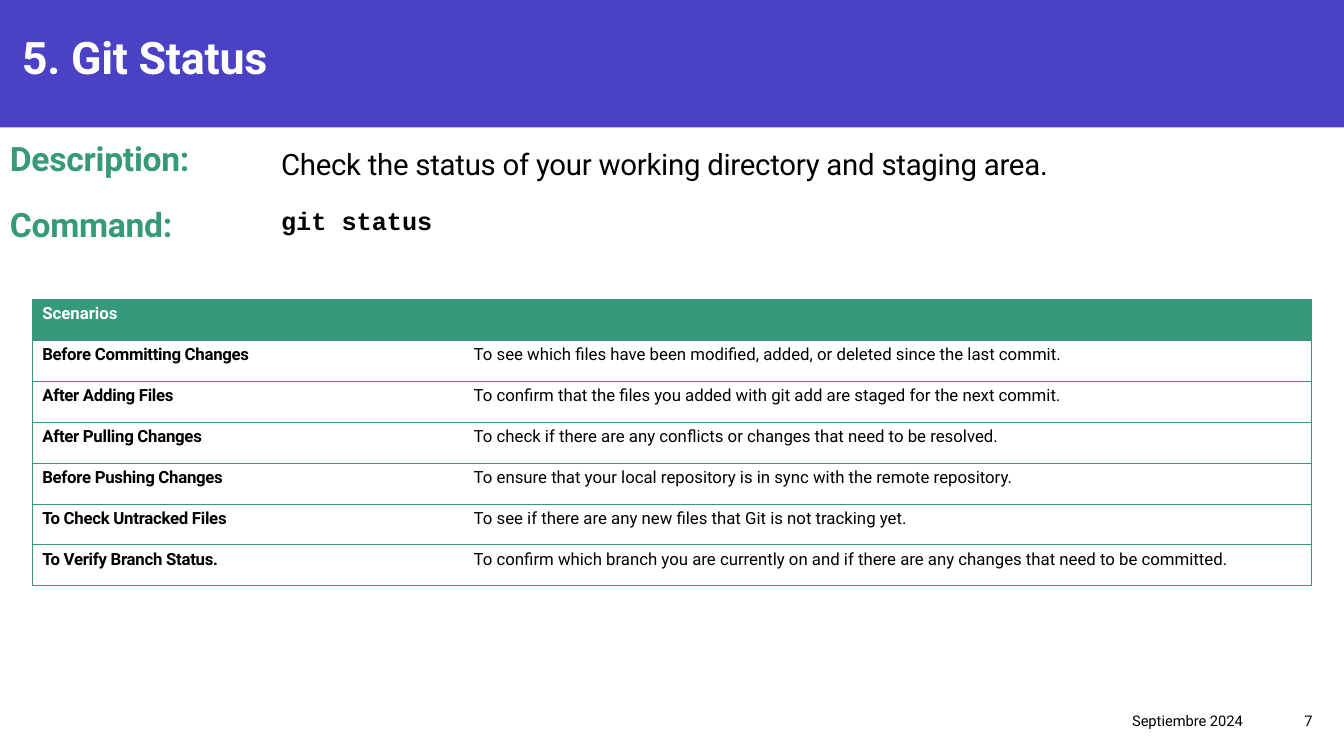
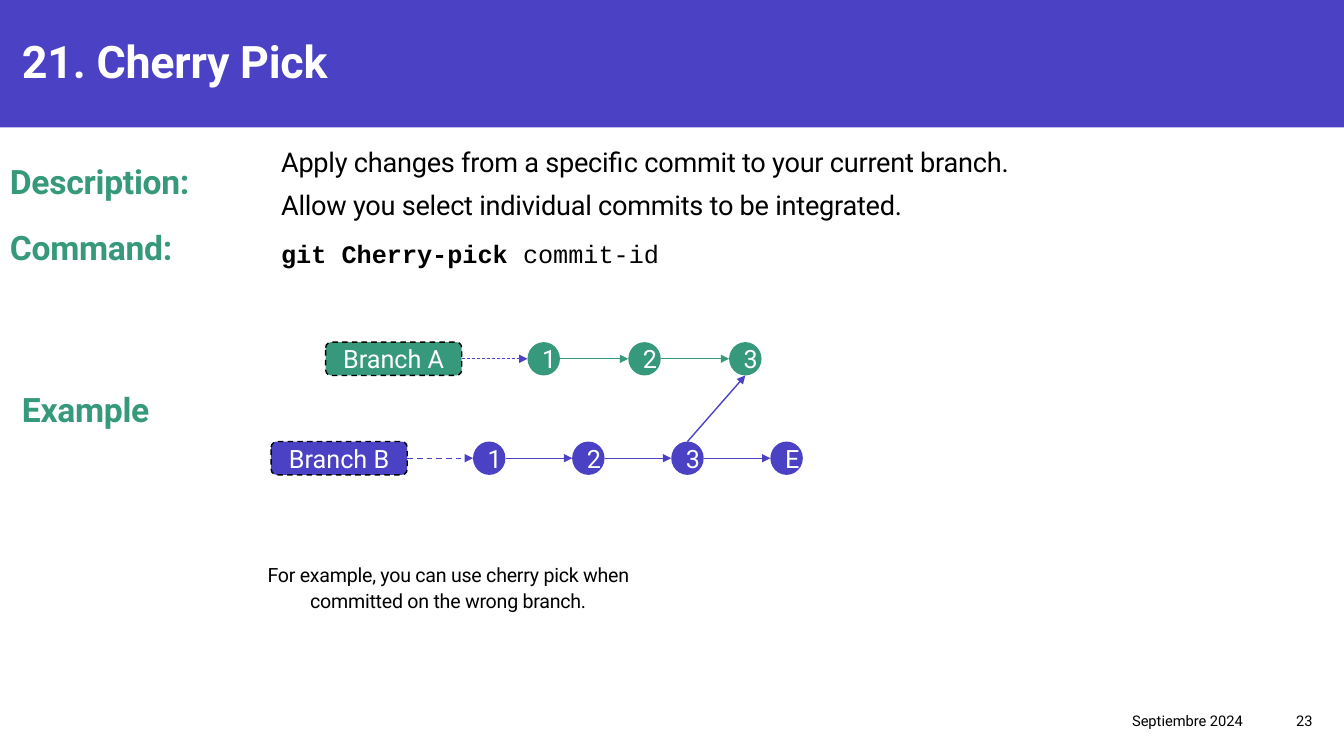
from lxml import etree
from pptx import Presentation
from pptx.dml.color import RGBColor
from pptx.enum import dml, shapes, text
from pptx.oxml.ns import qn
from pptx.util import Pt

PURPLE, GREEN, WHITE, BLACK = "4A41C5", "37997B", "FFFFFF", "000000"
SANS, MONO = "Roboto", "Courier New"
LEFT, CENTER, RIGHT = text.PP_ALIGN.LEFT, text.PP_ALIGN.CENTER, text.PP_ALIGN.RIGHT
TOP, MIDDLE = text.MSO_ANCHOR.TOP, text.MSO_ANCHOR.MIDDLE
PLAIN_TABLE = "{2D5ABB26-0587-4C30-8999-92F81FD0307C}"
SLIDE_W, SLIDE_H, BAND_H = 960, 540, 91
VALUE_X = 193.7
DATE = "Septiembre 2024"

STATUS = {
    "title": "5. Git Status",
    "page": 7,
    "description": ["Check the status of your working directory and staging area."],
    "command": [("git status", True)],
}
SCENARIOS = [
    ("Scenarios", ""),
    ("Before Committing Changes",
     "To see which files have been modified, added, or deleted since the last commit."),
    ("After Adding Files",
     "To confirm that the files you added with git add are staged for the next commit."),
    ("After Pulling Changes",
     "To check if there are any conflicts or changes that need to be resolved."),
    ("Before Pushing Changes",
     "To ensure that your local repository is in sync with the remote repository."),
    ("To Check Untracked Files",
     "To see if there are any new files that Git is not tracking yet."),
    ("To Verify Branch Status.",
     "To confirm which branch you are currently on and if there are any changes "
     "that need to be committed."),
]

CHERRY_PICK = {
    "title": "21. Cherry Pick",
    "page": 23,
    "description": ["Apply changes from a specific commit to your current branch.",
                    "Allow you select individual commits to be integrated."],
    "command": [("git Cherry-pick ", True), ("commit-id", False)],
}
BRANCHES = [
    {"name": "Branch A", "commits": "123", "color": GREEN, "x": 232.6, "y": 244.4,
     "step": 72, "lead_width": 0.5},
    {"name": "Branch B", "commits": "123E", "color": PURPLE, "x": 193.7, "y": 315.4,
     "step": 70.8, "lead_width": 1},
]
CAPTION = "For example, you can use cherry pick when committed on the wrong branch."
LABEL_W, NODE_W, NODE_H = 97.2, 23.2, 23.8
FIRST_NODE = 144.2  # from the left of the branch label to its first commit


def rgb(color):
    return RGBColor.from_string(color)


def style(para, size, color, bold=False, font=SANS, align=LEFT, tight=False):
    """Style a whole paragraph; tight narrows its letter spacing slightly."""
    para.alignment = align
    para.font.name, para.font.size, para.font.bold = font, Pt(size), bold
    para.font.color.rgb = rgb(color)
    if tight:
        para._p.pPr.find(qn("a:defRPr")).set("spc", "-20")


def add_text(page, box, lines, size, color=BLACK, anchor=TOP, spacing=None,
             before=0, after=0, **looks):
    """Add a text box; a line is a string or a list of (text, bold) spans."""
    frame = page.shapes.add_textbox(*map(Pt, box)).text_frame
    frame.word_wrap, frame.vertical_anchor = True, anchor
    for index, line in enumerate(lines):
        para = frame.add_paragraph() if index else frame.paragraphs[0]
        style(para, size, color, **looks)
        para.space_before, para.space_after = Pt(before), Pt(after)
        if spacing:
            para.line_spacing = spacing
        if isinstance(line, str):
            para.add_run().text = line
            continue
        for words, bold in line:
            span = para.add_run()
            span.text, span.font.bold = words, bold


def add_shape(page, kind, box, fill, label=""):
    shape = page.shapes.add_shape(kind, *map(Pt, box))
    shape.shadow.inherit = False
    shape.fill.solid()
    shape.fill.fore_color.rgb = rgb(fill)
    shape.line.fill.background()
    if label:
        para = shape.text_frame.paragraphs[0]
        para.add_run().text = label
        style(para, 18, WHITE, align=CENTER)
    return shape


def add_arrow(page, start, end, color, width=1, dashed=False):
    arrow = page.shapes.add_connector(
        shapes.MSO_CONNECTOR.STRAIGHT, *map(Pt, (*start, *end)))
    arrow.line.color.rgb = rgb(color)
    arrow.line.width = Pt(width)
    if dashed:
        arrow.line.dash_style = dml.MSO_LINE.DASH
    etree.SubElement(arrow.line._get_or_add_ln(), qn("a:tailEnd"), type="triangle")
    etree.SubElement(arrow._element.spPr, qn("a:effectLst"))


def add_heading(page, x, y, width, words):
    add_text(page, (x, y, width, 46.8), [words], 24, GREEN, spacing=1.1, before=10,
             bold=True, tight=True)


def add_page(deck, content, heading_y, title_spacing=None):
    """Add a slide with the band, title, two headings and footer."""
    page = deck.slides.add_slide(deck.slide_layouts[6])
    add_shape(page, shapes.MSO_SHAPE.RECTANGLE, (0, 0, SLIDE_W, BAND_H), PURPLE)
    add_text(page, (8.6, 18, 936, 46.8), [content["title"]], 32, WHITE,
             spacing=title_spacing, bold=True, tight=True)
    for index, words in enumerate(("Description:", "Command:")):
        add_heading(page, 0, heading_y + index * 47, 224, words)
    for x, width, words in ((552.2, 342.7, DATE), (894.9, 49.7, str(content["page"]))):
        add_text(page, (x, 500.4, width, 28.8), [words], 10.5, anchor=MIDDLE, align=RIGHT)
    return page


def add_values(page, content, size, spacing, y, height, command_y, command_spacing=None):
    """Add the description and the command beside their headings."""
    add_text(page, (VALUE_X, y, 629, height), content["description"], size,
             anchor=MIDDLE, spacing=spacing, before=10, tight=True)
    add_text(page, (VALUE_X, command_y, 665, 29), [content["command"]], 18,
             spacing=command_spacing, after=8, font=MONO)


def set_borders(cell, sides):
    """Draw thin green borders on the named sides and none on the others."""
    props = cell._tc.get_or_add_tcPr()
    for index, side in enumerate("LRTB"):
        line = etree.Element(qn("a:ln" + side), w=str(Pt(0.5)))
        if side in sides:
            fill = etree.SubElement(line, qn("a:solidFill"))
            etree.SubElement(fill, qn("a:srgbClr"), val=GREEN)
        else:
            etree.SubElement(line, qn("a:noFill"))
        props.insert(index, line)


def add_scenarios(page):
    row_h, widths = 29.25, (308.2, 605.5)
    table = page.shapes.add_table(
        len(SCENARIOS), len(widths), Pt(23), Pt(213.8), Pt(sum(widths)),
        Pt(row_h * len(SCENARIOS))).table
    table._tbl.tblPr.find(qn("a:tableStyleId")).text = PLAIN_TABLE
    table.horz_banding = False
    for column, width in zip(table.columns, widths):
        column.width = Pt(width)
    for r, row in enumerate(SCENARIOS):
        table.rows[r].height = Pt(row_h)
        header = r == 0
        for c, words in enumerate(row):
            cell = table.cell(r, c)
            para = cell.text_frame.paragraphs[0]
            if words:
                para.add_run().text = words
            style(para, 12, WHITE if header else BLACK, bold=c == 0,
                  tight=c == 0 and not header)
            cell.fill.solid()
            cell.fill.fore_color.rgb = rgb(GREEN if header else WHITE)
            set_borders(cell, "TB" + "LR"[c])


def add_branch(page, branch):
    """Draw a branch label and its chain of commits; return the commit centres."""
    x, y, color = branch["x"], branch["y"], branch["color"]
    label = add_shape(page, shapes.MSO_SHAPE.ROUNDED_RECTANGLE,
                      (x, y, LABEL_W, NODE_H), color, branch["name"])
    label.line.color.rgb = rgb(BLACK)
    label.line.width = Pt(1)
    label.line.dash_style = dml.MSO_LINE.DASH
    middle = y + NODE_H / 2
    previous, centres = x + LABEL_W, []
    for index, commit in enumerate(branch["commits"]):
        left = x + FIRST_NODE + index * branch["step"]
        lead = index == 0
        add_arrow(page, (previous, middle), (left, middle), PURPLE if lead else color,
                  branch["lead_width"] if lead else 1, dashed=lead)
        add_shape(page, shapes.MSO_SHAPE.OVAL, (left, y, NODE_W, NODE_H), color, commit)
        previous = left + NODE_W
        centres.append((left + NODE_W / 2, middle))
    return centres


def build_status(deck):
    page = add_page(deck, STATUS, 92.2)
    add_values(page, STATUS, 21, 1.1, 91.4, 48.2, 143.3)
    add_scenarios(page)


def build_cherry_pick(deck):
    page = add_page(deck, CHERRY_PICK, 108.7, title_spacing=1.07)
    add_heading(page, 8.6, 271.4, 116, "Example")
    add_values(page, CHERRY_PICK, 19.4, 0.9, 102.2, 60.5, 164.9, 1.07)
    target, source = (add_branch(page, branch)[2] for branch in BRANCHES)
    add_arrow(page, (source[0], source[1] - NODE_H / 2),
              (target[0], target[1] + NODE_H / 2), PURPLE)
    add_text(page, (182.2, 387.4, 275.8, 63.4), [CAPTION], 14, anchor=MIDDLE,
             spacing=1.1, before=10, align=CENTER, tight=True)


def main():
    deck = Presentation()
    deck.slide_width, deck.slide_height = Pt(SLIDE_W), Pt(SLIDE_H)
    build_status(deck)
    build_cherry_pick(deck)
    deck.save("out.pptx")


if __name__ == "__main__":
    main()
